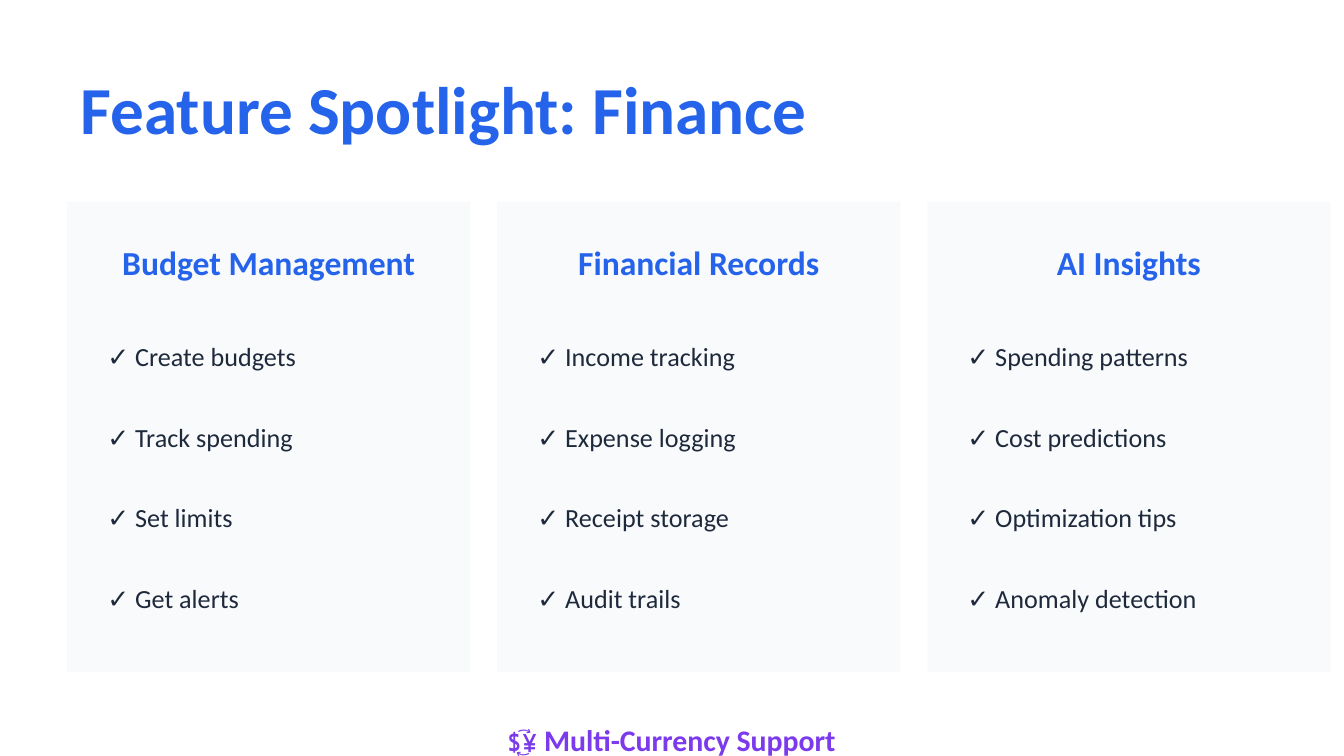
from pptx import Presentation
from pptx.dml.color import RGBColor
from pptx.enum.shapes import MSO_SHAPE
from pptx.enum.text import MSO_ANCHOR, MSO_AUTO_SIZE, PP_ALIGN
from pptx.util import Emu, Pt

EMU_PER_PX = 4572
BLUE = "2563EB"
PURPLE = "7C3AED"
INK = "1E293B"
CARD_FILL = "F8FAFC"

CARDS = [
    ("Budget Management",
     ["Create budgets", "Track spending", "Set limits", "Get alerts"]),
    ("Financial Records",
     ["Income tracking", "Expense logging", "Receipt storage", "Audit trails"]),
    ("AI Insights",
     ["Spending patterns", "Cost predictions", "Optimization tips", "Anomaly detection"]),
]


def px(length):
    return Emu(length * EMU_PER_PX)


def color(value):
    return RGBColor.from_string(value)


def write_text(shape, text, size, text_color, bold=False, align=PP_ALIGN.LEFT):
    frame = shape.text_frame
    frame.text = text
    frame.word_wrap = True
    frame.auto_size = MSO_AUTO_SIZE.NONE
    frame.vertical_anchor = MSO_ANCHOR.MIDDLE
    paragraph = frame.paragraphs[0]
    paragraph.alignment = align
    paragraph.font.name = "Calibri"
    paragraph.font.size = Pt(size)
    paragraph.font.bold = bold
    paragraph.font.color.rgb = color(text_color)


def set_title(slide, text):
    title = slide.shapes.title
    title.left, title.top, title.width, title.height = map(px, (100, 100, 1800, 120))
    write_text(title, text, 36, BLUE, bold=True)


def add_label(slide, box, text, size, text_color, **style):
    label = slide.shapes.add_textbox(*map(px, box))
    write_text(label, text, size, text_color, **style)


def add_card(slide, left, heading, features):
    card = slide.shapes.add_shape(MSO_SHAPE.RECTANGLE, *map(px, (left, 300, 600, 700)))
    card.shadow.inherit = False
    card.fill.solid()
    card.fill.fore_color.rgb = color(CARD_FILL)
    card.line.fill.background()
    add_label(slide, (left, 340, 600, 100), heading, 18, BLUE,
              bold=True, align=PP_ALIGN.CENTER)
    for row, feature in enumerate(features):
        add_label(slide, (left + 40, 480 + 120 * row, 520, 100), f"✓ {feature}", 14, INK)


def main():
    presentation = Presentation()
    presentation.slide_width = px(2000)
    presentation.slide_height = px(1125)
    slide = presentation.slides.add_slide(presentation.slide_layouts[5])
    slide.background.fill.solid()
    slide.background.fill.fore_color.rgb = color("FFFFFF")
    set_title(slide, "Feature Spotlight: Finance")
    for column, (heading, features) in enumerate(CARDS):
        add_card(slide, 100 + 640 * column, heading, features)
    add_label(slide, (100, 1060, 1800, 80), "💱 Multi-Currency Support", 16, PURPLE,
              bold=True, align=PP_ALIGN.CENTER)
    presentation.save("out.pptx")


if __name__ == "__main__":
    main()
